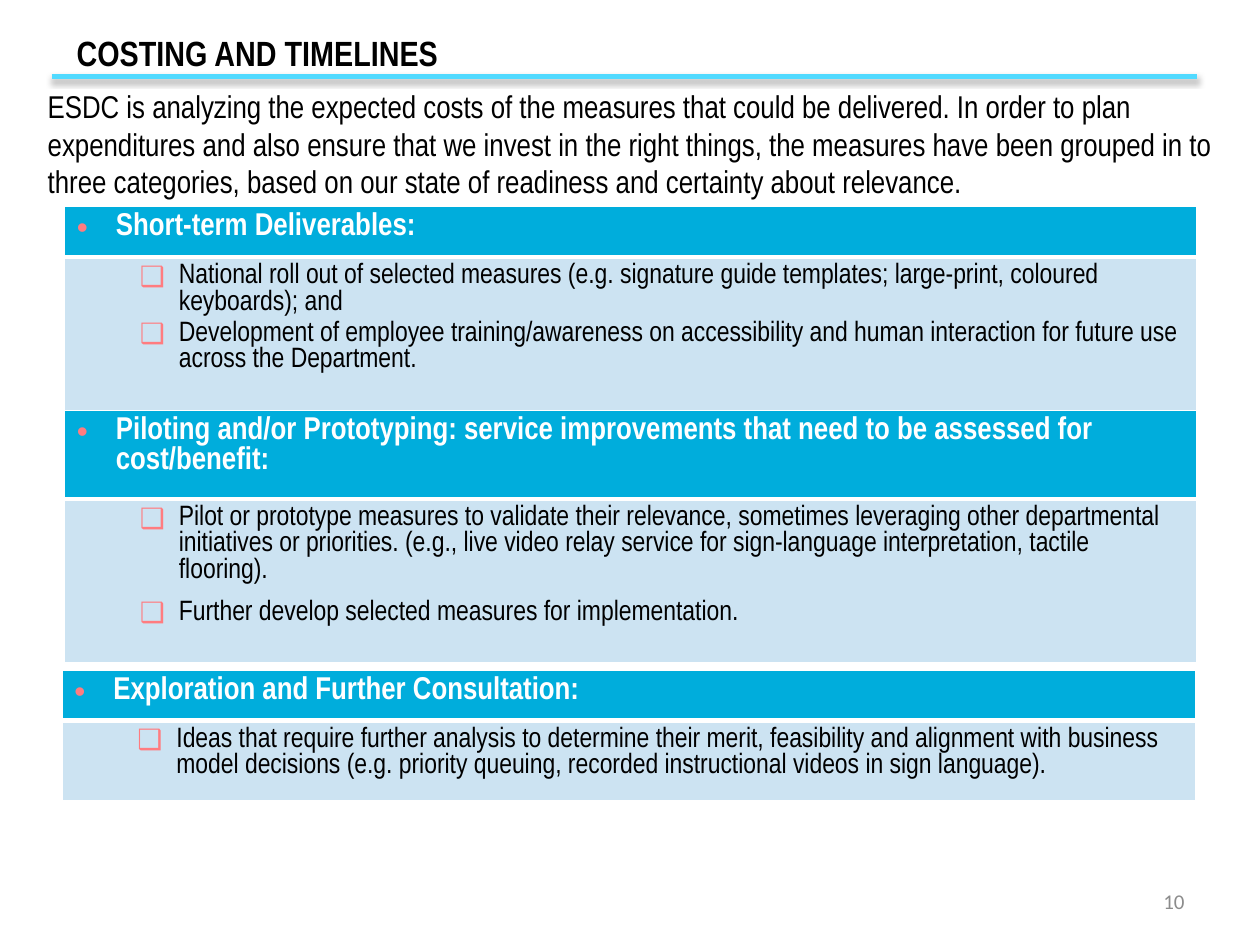
from lxml.etree import SubElement
from pptx import Presentation
from pptx.dml.color import RGBColor
from pptx.enum.shapes import MSO_CONNECTOR
from pptx.enum.text import MSO_ANCHOR as Anchor, PP_ALIGN as Align
from pptx.oxml.ns import qn
from pptx.util import Inches, Pt

BLACK = RGBColor(0x00, 0x00, 0x00)
WHITE = RGBColor(0xFF, 0xFF, 0xFF)
GREY = RGBColor(0x8C, 0x8C, 0x8C)
RULE_BLUE = RGBColor(0x51, 0xDA, 0xFF)
HEADING_BLUE = RGBColor(0x00, 0xAD, 0xDC)
PALE_BLUE = RGBColor(0xCC, 0xE3, 0xF2)
BULLET_PINK = RGBColor(0xFF, 0x7C, 0x80)
NARROW = "Arial Narrow"

INTRO = (
    "ESDC is analyzing the expected costs of the measures that could be delivered. "
    "In order to plan expenditures and also ensure that we invest in the right things, "
    "the measures have been grouped in to three categories, based on our state of "
    "readiness and certainty about relevance."
)

CATEGORIES = [
    ((0.51, 1.64, 8.99), (0.4, 1.22), 0, "Short-term Deliverables:", [
        "National roll out of selected measures (e.g. signature guide templates; "
        "large-print, coloured keyboards); and",
        "Development of employee training/awareness on accessibility and human "
        "interaction for future use across the Department.",
    ]),
    ((0.51, 3.26, 8.99), (0.7, 1.3), 6,
     "Piloting and/or Prototyping: service improvements that need to be assessed "
     "for cost/benefit:", [
        "Pilot or prototype measures to validate their relevance, sometimes leveraging "
        "other departmental initiatives or priorities. (e.g., live video relay service "
        "for sign-language interpretation, tactile flooring).",
        "Further develop selected measures for implementation.",
    ]),
    ((0.49, 5.32, 9), (0.4, 0.63), 6, "Exploration and Further Consultation:", [
        "Ideas that require further analysis to determine their merit, feasibility and "
        "alignment with business model decisions (e.g. priority queuing, recorded "
        "instructional videos in sign language).",
    ]),
]


def add_node(parent, tag, **attributes):
    """Append a DrawingML element and return it."""
    return SubElement(parent, qn(tag), {key: str(value) for key, value in attributes.items()})


def style_runs(paragraph, size, color, bold=False, font=NARROW):
    """Format every run of a paragraph."""
    for run in paragraph.runs:
        run.font.size = Pt(size)
        run.font.name = font
        run.font.bold = bold
        run.font.color.rgb = color


def add_text(slide, box, text, size, color=BLACK, bold=False, font=NARROW,
             anchor=Anchor.TOP, align=Align.LEFT):
    """Add a wrapped text box with one paragraph."""
    frame = slide.shapes.add_textbox(*map(Inches, box)).text_frame
    frame.word_wrap = True
    frame.vertical_anchor = anchor
    frame.text = text
    frame.paragraphs[0].alignment = align
    style_runs(frame.paragraphs[0], size, color, bold, font)


def add_title_rule(slide):
    """Draw the shadowed rule below the title."""
    rule = slide.shapes.add_connector(
        MSO_CONNECTOR.STRAIGHT, Inches(0.41), Inches(0.61), Inches(9.5), Inches(0.61))
    rule.line.color.rgb = RULE_BLUE
    rule.line.width = Pt(3)
    effects = add_node(rule.line._get_or_add_ln().getparent(), "a:effectLst")
    shadow = add_node(effects, "a:outerShdw", blurRad=Pt(3.1), dist=Pt(1.8),
                      dir=90 * 60000, rotWithShape=0)
    add_node(add_node(shadow, "a:srgbClr", val=BLACK), "a:alpha", val=35000)


def add_bullet(paragraph, symbol, indent):
    """Give a paragraph a pink bullet with a hanging indent."""
    properties = paragraph._p.get_or_add_pPr()
    properties.set("marL", str(Inches(indent)))
    properties.set("indent", str(Inches(-0.31)))
    add_node(add_node(properties, "a:buClr"), "a:srgbClr", val=BULLET_PINK)
    add_node(properties, "a:buFont", typeface="Arial")
    add_node(properties, "a:buChar", char=symbol)


def set_borders(cell, top, bottom):
    """Outline a cell in white with the given top and bottom widths."""
    properties = cell._tc.get_or_add_tcPr()
    for side, width in (("L", 1), ("R", 1), ("T", top), ("B", bottom)):
        border = add_node(properties, f"a:ln{side}", w=Pt(width))
        add_node(add_node(border, "a:solidFill"), "a:srgbClr", val=WHITE)


def fill_cell(cell, texts, symbol, indent, size, color, bold, background, gap_after):
    """Write bulleted paragraphs into a coloured cell."""
    cell.fill.solid()
    cell.fill.fore_color.rgb = background
    cell.text_frame.text = "\n".join(texts)
    for index, paragraph in enumerate(cell.text_frame.paragraphs):
        paragraph.line_spacing = 1.0
        paragraph.space_before = Pt(3 if index else 0)
        paragraph.space_after = Pt(gap_after)
        add_bullet(paragraph, symbol, indent)
        style_runs(paragraph, size, color, bold)


def add_category(slide, place, heights, gap_after, heading, measures):
    """Add a category table: a heading row above its measures."""
    left, top, width = map(Inches, place)
    table = slide.shapes.add_table(2, 1, left, top, width, Inches(sum(heights))).table
    table.horz_banding = False
    for row, height in zip(table.rows, heights):
        row.height = Inches(height)
    heading_cell, measures_cell = table.cell(0, 0), table.cell(1, 0)
    set_borders(heading_cell, 1, 3)
    set_borders(measures_cell, 3, 1)
    fill_cell(heading_cell, [heading], "•", 0.31, 18, WHITE, True, HEADING_BLUE, 6)
    fill_cell(measures_cell, measures, "❑", 0.81, 16, BLACK, False, PALE_BLUE, gap_after)


def main():
    """Build the costing and timelines slide."""
    deck = Presentation()
    deck.slide_width, deck.slide_height = Inches(10), Inches(7.5)
    slide = deck.slides.add_slide(deck.slide_layouts[6])
    add_text(slide, (7.17, 6.95, 2.33, 0.4), "10", 12, GREY, font="Calibri",
             anchor=Anchor.MIDDLE, align=Align.RIGHT)
    add_title_rule(slide)
    add_text(slide, (0.28, 0.64, 9.52, 1.01), INTRO, 18)
    for category in CATEGORIES:
        add_category(slide, *category)
    add_text(slide, (0.51, 0.3, 6.11, 0.24), "COSTING AND TIMELINES", 20, bold=True,
             anchor=Anchor.MIDDLE)
    deck.save("out.pptx")


if __name__ == "__main__":
    main()
